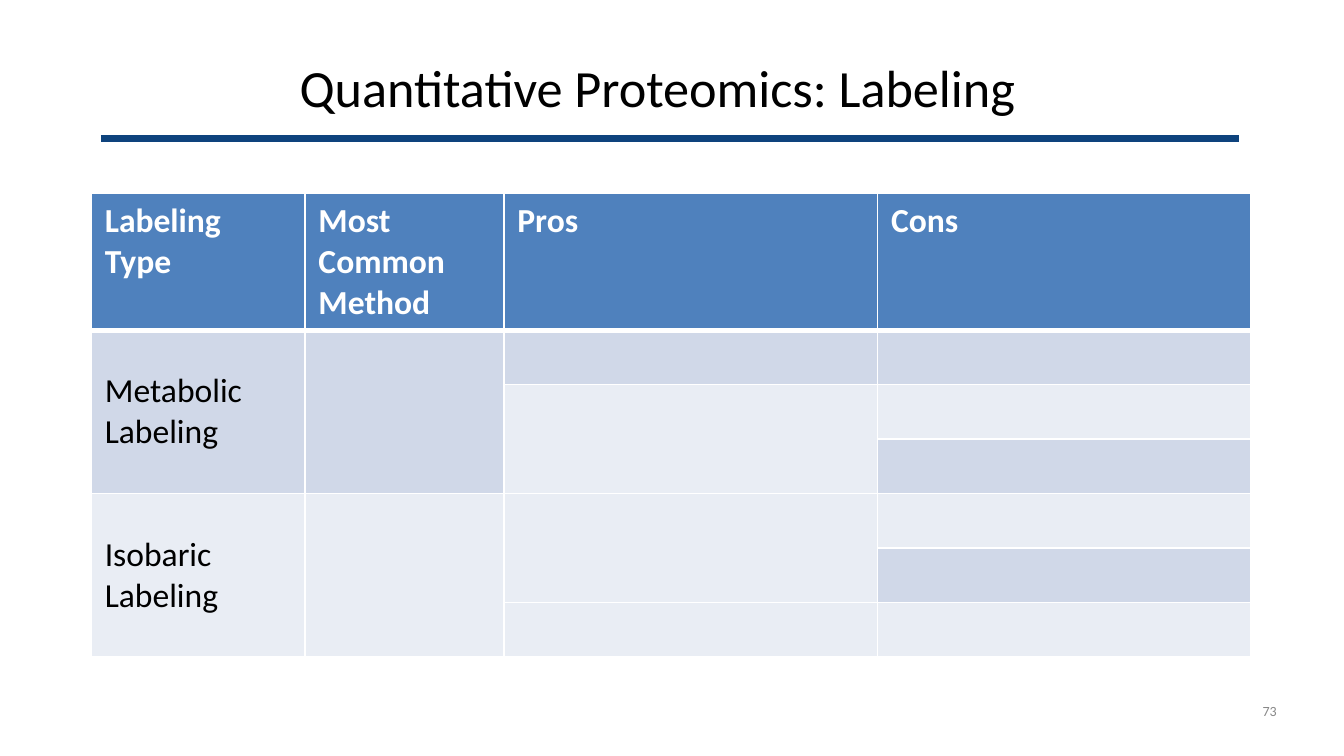
import pptx
import pptx.dml.color
import pptx.enum.shapes
import pptx.enum.text
import pptx.oxml.ns
import pptx.util
from dataclasses import dataclass
from lxml import etree

Inches = pptx.util.Inches
Pt = pptx.util.Pt
Align = pptx.enum.text.PP_ALIGN
Anchor = pptx.enum.text.MSO_ANCHOR


@dataclass(frozen=True)
class Theme:
    face: str = "Calibri"
    ink: str = "000000"
    white: str = "FFFFFF"
    gray: str = "888888"
    navy: str = "0E437D"
    head: str = "4F81BD"
    dark: str = "D0D8E8"
    light: str = "E9EDF4"
    title: float = 28
    body: float = 18
    small: float = 7.5


THEME = Theme()
HEADS = ["Labeling Type", "Most Common Method", "Pros", "Cons"]
WIDTHS = [1.59, 1.48, 2.78, 2.78]
COUNT = 7
HEIGHT = Inches(2.84)
# Each merge: top row, column, last row
MERGES = [(1, 0, 3), (1, 1, 3), (2, 2, 3), (4, 0, 6), (4, 1, 6), (4, 2, 5)]
LABELS = {1: "Metabolic Labeling", 4: "Isobaric Labeling"}


def rgb(code):
    return pptx.dml.color.RGBColor.from_string(code)


def apply(target, values):
    for name, value in values.items():
        setattr(target, name, value)


def write(frame, text, size, color, align=Align.LEFT, bold=False):
    frame.text = text
    line = frame.paragraphs[0]
    line.alignment = align
    font = line.runs[0].font
    apply(font, {"name": THEME.face, "size": Pt(size), "bold": bold})
    font.color.rgb = rgb(color)


def fit(frame, anchor, wrap=True):
    """Remove the insets and fix how the text sits in its box."""
    apply(frame, {
        "margin_left": 0, "margin_right": 0, "margin_top": 0,
        "margin_bottom": 0, "vertical_anchor": anchor, "word_wrap": wrap,
        "auto_size": pptx.enum.text.MSO_AUTO_SIZE.NONE,
    })


def add_title(slide, text):
    title = slide.shapes.title
    apply(title, {"left": Inches(0.22), "top": Inches(0.41),
                  "width": Inches(9.34), "height": Inches(0.58)})
    fit(title.text_frame, Anchor.TOP)
    write(title.text_frame, text, THEME.title, THEME.ink, Align.CENTER)


def add_rule(slide):
    kind = pptx.enum.shapes.MSO_CONNECTOR.STRAIGHT
    rule = slide.shapes.add_connector(
        kind, Inches(0.75), Inches(1.03), Inches(9.22), Inches(1.03))
    rule.line.color.rgb = rgb(THEME.navy)
    rule.line.width = Pt(4)
    etree.SubElement(rule._element.spPr, pptx.oxml.ns.qn("a:effectLst"))


def add_number(slide, text):
    box = slide.shapes.add_textbox(
        Inches(9.38), Inches(5.23), Inches(0.12), Inches(0.12))
    fit(box.text_frame, Anchor.MIDDLE, wrap=False)
    write(box.text_frame, text, THEME.small, THEME.gray, Align.RIGHT)


def add_edge(cell, side, width):
    qn = pptx.oxml.ns.qn
    props = cell._tc.get_or_add_tcPr()
    edge = etree.SubElement(props, qn(f"a:ln{side}"), w=str(Pt(width)))
    fill = etree.SubElement(edge, qn("a:solidFill"))
    etree.SubElement(fill, qn("a:srgbClr"), val=THEME.white)


def shade(row, col):
    if row == 0:
        return THEME.head
    # Rows alternate; a merged cell takes the shade of its top row
    for top, place, last in MERGES:
        if place == col and top <= row <= last:
            row = top
    return THEME.dark if row % 2 else THEME.light


def style(cell, row, col):
    for side in "LRTB":
        joint = (row, side) in [(0, "B"), (1, "T")]
        add_edge(cell, side, 3 if joint else 1)
    cell.fill.solid()
    cell.fill.fore_color.rgb = rgb(shade(row, col))


def add_grid(slide):
    grid = slide.shapes.add_table(
        COUNT, len(WIDTHS), Inches(0.68), Inches(1.44),
        Inches(sum(WIDTHS)), HEIGHT).table
    for col, width in enumerate(WIDTHS):
        grid.columns[col].width = Inches(width)
    for row in range(COUNT):
        grid.rows[row].height = HEIGHT // COUNT
        for col in range(len(WIDTHS)):
            style(grid.cell(row, col), row, col)
    for top, col, last in MERGES:
        grid.cell(top, col).merge(grid.cell(last, col))
    for col, text in enumerate(HEADS):
        write(grid.cell(0, col).text_frame, text, THEME.body, THEME.white,
              bold=True)
    for row, text in LABELS.items():
        cell = grid.cell(row, 0)
        cell.vertical_anchor = Anchor.MIDDLE
        write(cell.text_frame, text, THEME.body, THEME.ink)


def main():
    deck = pptx.Presentation()
    wide = Inches(10)
    apply(deck, {"slide_width": wide, "slide_height": wide * 9 // 16})
    slide = deck.slides.add_slide(deck.slide_layouts[5])
    add_rule(slide)
    add_title(slide, "Quantitative Proteomics: Labeling")
    add_number(slide, "73")
    add_grid(slide)
    deck.save("out.pptx")


if __name__ == "__main__":
    main()
